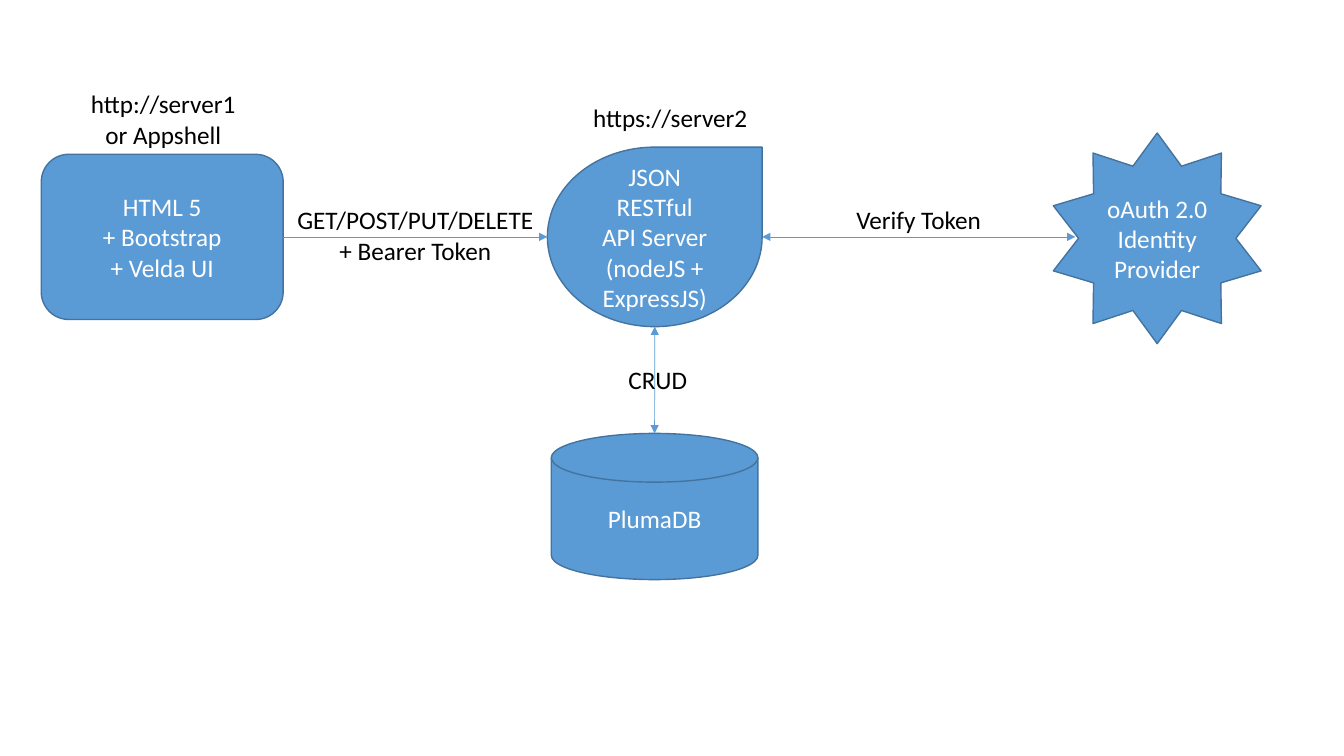
"""Build the web application architecture slide."""
from lxml import etree
from pptx import Presentation
from pptx.dml.color import RGBColor
from pptx.enum.shapes import MSO_CONNECTOR, MSO_SHAPE
from pptx.enum.text import MSO_ANCHOR, MSO_AUTO_SIZE, PP_ALIGN
from pptx.oxml.ns import qn
from pptx.util import Pt

STRAIGHT = MSO_CONNECTOR.STRAIGHT
STAR = MSO_SHAPE.STAR_10_POINT
CENTER = PP_ALIGN.CENTER
MIDDLE = MSO_ANCHOR.MIDDLE
FIT_SHAPE = MSO_AUTO_SIZE.SHAPE_TO_FIT_TEXT
COLORS = {"node": "5B9BD5", "outline": "43739E", "on_node": "FFFFFF", "label": "000000"}

NODES = {
    "database": (MSO_SHAPE.FLOWCHART_MAGNETIC_DISK, (393.8, 309.6, 147.6, 104.4), ["PlumaDB"]),
    "identity": (STAR, (752.4, 95, 148.4, 150.5), ["oAuth 2.0", "Identity", "Provider"]),
    "api": (MSO_SHAPE.TEAR, (391, 105.1, 153.4, 128.2),
            ["JSON RESTful", "API Server", "(nodeJS + ExpressJS)"]),
    "client": (MSO_SHAPE.ROUNDED_RECTANGLE, (29.5, 110.2, 172.8, 118),
               ["HTML 5", "+ Bootstrap", "+ Velda UI"]),
}
LABELS = [
    ((204.5, 142.6, 184.3, 51), ["GET/POST/PUT/DELETE", "+ Bearer Token"]),
    ((56.9, 59.8, 119.5, 51), ["http://server1", "or Appshell"]),
    ((415.4, 69.8, 126.7, 29), ["https://server2"]),
    ((604, 142.6, 104.4, 29), ["Verify Token"]),
    ((441.4, 257, 56.9, 29), ["CRUD"]),
]
STAR_DEPTH = 0.36
STAR_INSET = 15.8


def color(name):
    return RGBColor.from_string(COLORS[name])


def write(frame, lines, ink):
    frame.text = "\n".join(lines)
    for paragraph in frame.paragraphs:
        paragraph.alignment = CENTER
        paragraph.font.size = Pt(18)
        paragraph.font.name = "Calibri"
        paragraph.font.color.rgb = color(ink)


def add_node(slide, preset, box, lines):
    node = slide.shapes.add_shape(preset, *map(Pt, box))
    if preset == STAR:
        node.adjustments[0] = STAR_DEPTH
    node.shadow.inherit = False
    node.fill.solid()
    node.fill.fore_color.rgb = color("node")
    node.line.color.rgb = color("outline")
    node.line.width = Pt(1)
    node.text_frame.vertical_anchor = MIDDLE
    write(node.text_frame, lines, "on_node")


def add_label(slide, box, lines):
    frame = slide.shapes.add_textbox(*map(Pt, box)).text_frame
    frame.word_wrap = False
    frame.auto_size = FIT_SHAPE
    write(frame, lines, "label")


def add_arrow(slide, start, end, heads):
    arrow = slide.shapes.add_connector(STRAIGHT, *map(Pt, start + end))
    arrow.line.color.rgb = color("node")
    arrow.line.width = Pt(0.5)
    outline = arrow.line._get_or_add_ln()
    for head in heads:
        etree.SubElement(outline, qn(head)).set("type", "triangle")
    etree.SubElement(arrow._element.spPr, qn("a:effectLst"))


def anchor(name, across, down):
    left, top, width, height = NODES[name][1]
    return left + width * across, top + height * down


prs = Presentation()
prs.slide_width, prs.slide_height = Pt(960), Pt(540)
slide = prs.slides.add_slide(prs.slide_layouts[6])

for preset, box, lines in NODES.values():
    add_node(slide, preset, box, lines)

api_right = anchor("api", 1, 0.5)
identity_left = (anchor("identity", 0, 0.5)[0] + STAR_INSET, api_right[1])
BOTH = ("a:headEnd", "a:tailEnd")
ARROWS = [
    (anchor("client", 1, 0.5), anchor("api", 0, 0.5), BOTH[1:]),
    (anchor("api", 0.5, 1), anchor("database", 0.5, 0), BOTH),
    (api_right, identity_left, BOTH),
]
for start, end, heads in ARROWS:
    add_arrow(slide, start, end, heads)

for box, lines in LABELS:
    add_label(slide, box, lines)

prs.save("out.pptx")
